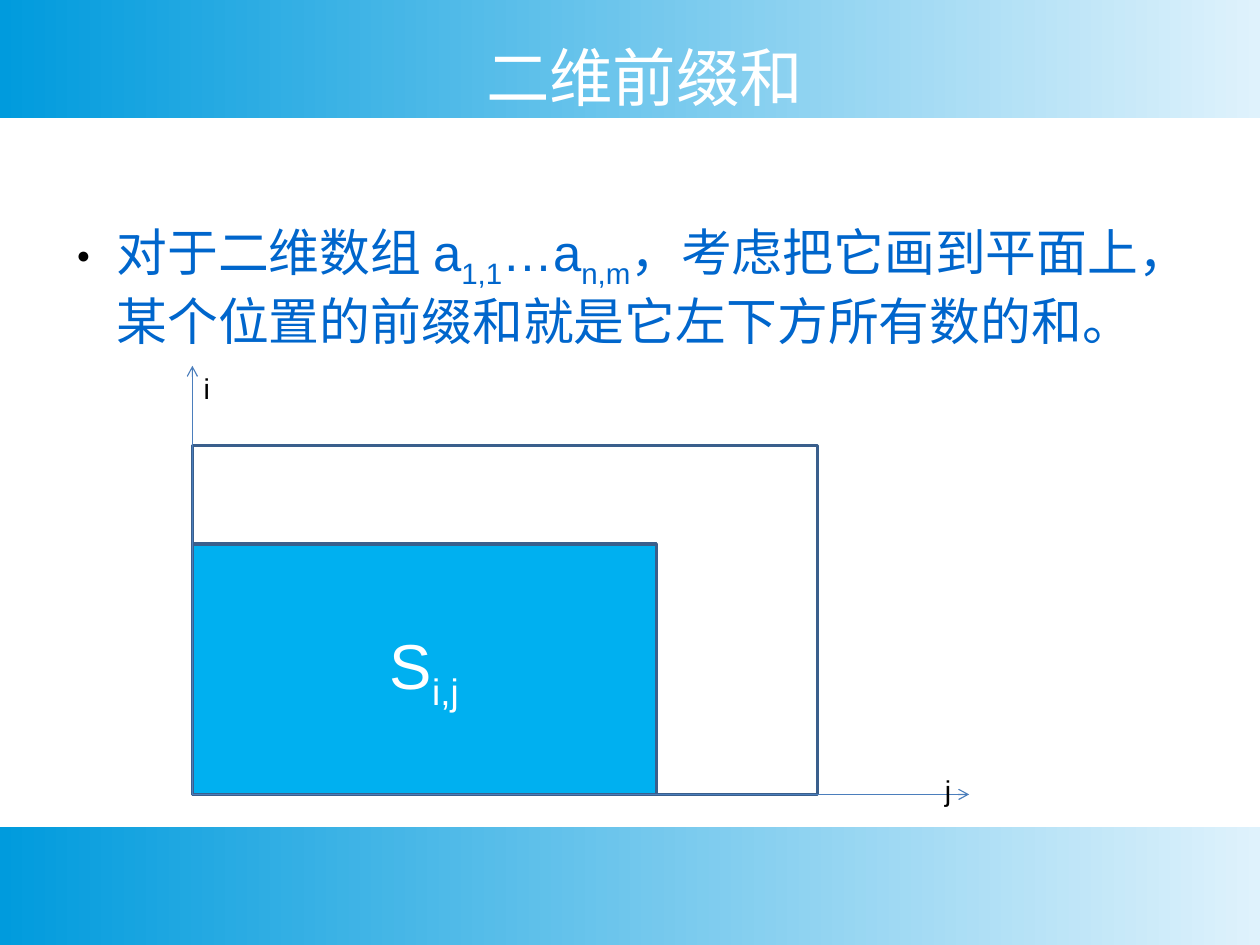
"""Build a slide that explains two-dimensional prefix sums."""
from dataclasses import dataclass

from lxml.etree import SubElement
from pptx import Presentation
from pptx.dml.color import RGBColor
from pptx.enum.shapes import MSO_CONNECTOR as Connector, MSO_SHAPE as Preset
from pptx.enum.text import MSO_ANCHOR as Anchor, MSO_AUTO_SIZE as AutoSize, PP_ALIGN as Align
from pptx.oxml.ns import qn
from pptx.util import Pt

COLORS = {
    "band_light": "DFF2FC",
    "band_dark": "009BDD",
    "white": "FFFFFF",
    "black": "000000",
    "body": "0066CC",
    "outline": "3A5F8C",
    "prefix": "00B0F0",
    "axis": "4B7EBC",
}
WIDTH, HEIGHT = 793.75, 595.25
BAND_HEIGHT = 74.16
ORIGIN_X, ORIGIN_Y = 121.2, 500.4
AXIS_END_X, AXIS_END_Y = 610.56, 230.4


@dataclass
class Box:
    left: float
    top: float
    width: float
    height: float

    def lengths(self) -> tuple:
        return Pt(self.left), Pt(self.top), Pt(self.width), Pt(self.height)


@dataclass
class Region:
    width: float
    height: float
    fill: str = ""
    text: str = ""


@dataclass
class Axis:
    end_x: float
    end_y: float
    label: str
    label_left: float
    label_top: float


def color(name: str) -> RGBColor:
    return RGBColor.from_string(COLORS[name])


def write(frame, text: str, *, size: float, ink: str, align=Align.LEFT, anchor=Anchor.TOP,
          wrap: bool = True, inset: bool = True):
    """Write text in which underscores enclose subscripts."""
    frame.word_wrap = wrap
    frame.vertical_anchor = anchor
    if not inset:
        frame.margin_left = frame.margin_right = frame.margin_top = frame.margin_bottom = 0
    paragraph = frame.paragraphs[0]
    paragraph.alignment = align
    for index, part in enumerate(text.split("_")):
        if not part:
            continue
        run = paragraph.add_run()
        run.text = part
        run.font.name = "Arial"
        run.font.size = Pt(size)
        run.font.color.rgb = color(ink)
        if index % 2:
            run._r.get_or_add_rPr().set("baseline", "-25000")
    return paragraph


def add_bullet(paragraph, margin: float, indent: float) -> None:
    properties = paragraph._p.get_or_add_pPr()
    properties.set("marL", str(Pt(margin)))
    properties.set("indent", str(Pt(indent)))
    bullet_color = SubElement(properties, qn("a:buClr"))
    SubElement(bullet_color, qn("a:srgbClr"), val=COLORS["black"])
    SubElement(properties, qn("a:buSzPct"), val="45000")
    SubElement(properties, qn("a:buFont"), typeface="Arial")
    SubElement(properties, qn("a:buChar"), char="●")


def add_band(slide, top: float) -> None:
    band = slide.shapes.add_shape(Preset.RECTANGLE, *Box(0, top, WIDTH, BAND_HEIGHT).lengths())
    band.shadow.inherit = False
    band.line.fill.background()
    band.fill.gradient()
    band.fill.gradient_angle = 180
    for stop, position, name in zip(band.fill.gradient_stops, (0, 1), ("band_light", "band_dark")):
        stop.position = position
        stop.color.rgb = color(name)


def add_region(slide, region: Region) -> None:
    box = Box(ORIGIN_X, ORIGIN_Y - region.height, region.width, region.height)
    shape = slide.shapes.add_shape(Preset.RECTANGLE, *box.lengths())
    shape.shadow.inherit = False
    shape.line.color.rgb = color("outline")
    shape.line.width = Pt(2)
    if region.fill:
        shape.fill.solid()
        shape.fill.fore_color.rgb = color(region.fill)
    else:
        shape.fill.background()
    if region.text:
        write(shape.text_frame, region.text, size=40, ink="white",
              align=Align.CENTER, anchor=Anchor.MIDDLE)


def add_axis(slide, axis: Axis) -> None:
    arrow = slide.shapes.add_connector(Connector.STRAIGHT, Pt(ORIGIN_X), Pt(ORIGIN_Y),
                                       Pt(axis.end_x), Pt(axis.end_y))
    arrow.line.color.rgb = color("axis")
    arrow.line.width = Pt(0.75)
    SubElement(arrow.line._get_or_add_ln(), qn("a:tailEnd"), type="arrow")
    SubElement(arrow._element.spPr, qn("a:effectLst"))


def add_axis_label(slide, axis: Axis) -> None:
    box = Box(axis.label_left, axis.label_top, 18.72, 28.8)
    frame = slide.shapes.add_textbox(*box.lengths()).text_frame
    write(frame, axis.label, size=18, ink="black", wrap=False)
    frame.auto_size = AutoSize.SHAPE_TO_FIT_TEXT


def main() -> None:
    presentation = Presentation()
    presentation.slide_width, presentation.slide_height = Pt(WIDTH), Pt(HEIGHT)
    slide = presentation.slides.add_slide(presentation.slide_layouts[6])

    for top in (0, HEIGHT - BAND_HEIGHT):
        add_band(slide, top)

    title = slide.shapes.add_textbox(*Box(48.96, 21.6, 714.24, 53.28).lengths())
    write(title.text_frame, "二维前缀和", size=40, ink="white",
          align=Align.CENTER, anchor=Anchor.MIDDLE, inset=False)

    body = slide.shapes.add_textbox(*Box(39.6, 138.96, 714.24, 344.88).lengths())
    paragraph = write(
        body.text_frame,
        "对于二维数组 a_1,1_…a_n,m_，考虑把它画到平面上，某个位置的前缀和就是它左下方所有数的和。",
        size=32, ink="body", inset=False)
    paragraph.space_before = Pt(14.2)
    add_bullet(paragraph, margin=33.84, indent=-25.2)

    for region in (Region(393.84, 219.6), Region(292.32, 157.68, "prefix", "S_i,j_")):
        add_region(slide, region)

    axes = (
        Axis(AXIS_END_X, ORIGIN_Y, "j", 588.24, 483.12),
        Axis(ORIGIN_X, AXIS_END_Y, "i", ORIGIN_X, AXIS_END_Y),
    )
    for axis in axes:
        add_axis(slide, axis)
    for axis in axes:
        add_axis_label(slide, axis)

    presentation.save("out.pptx")


if __name__ == "__main__":
    main()
